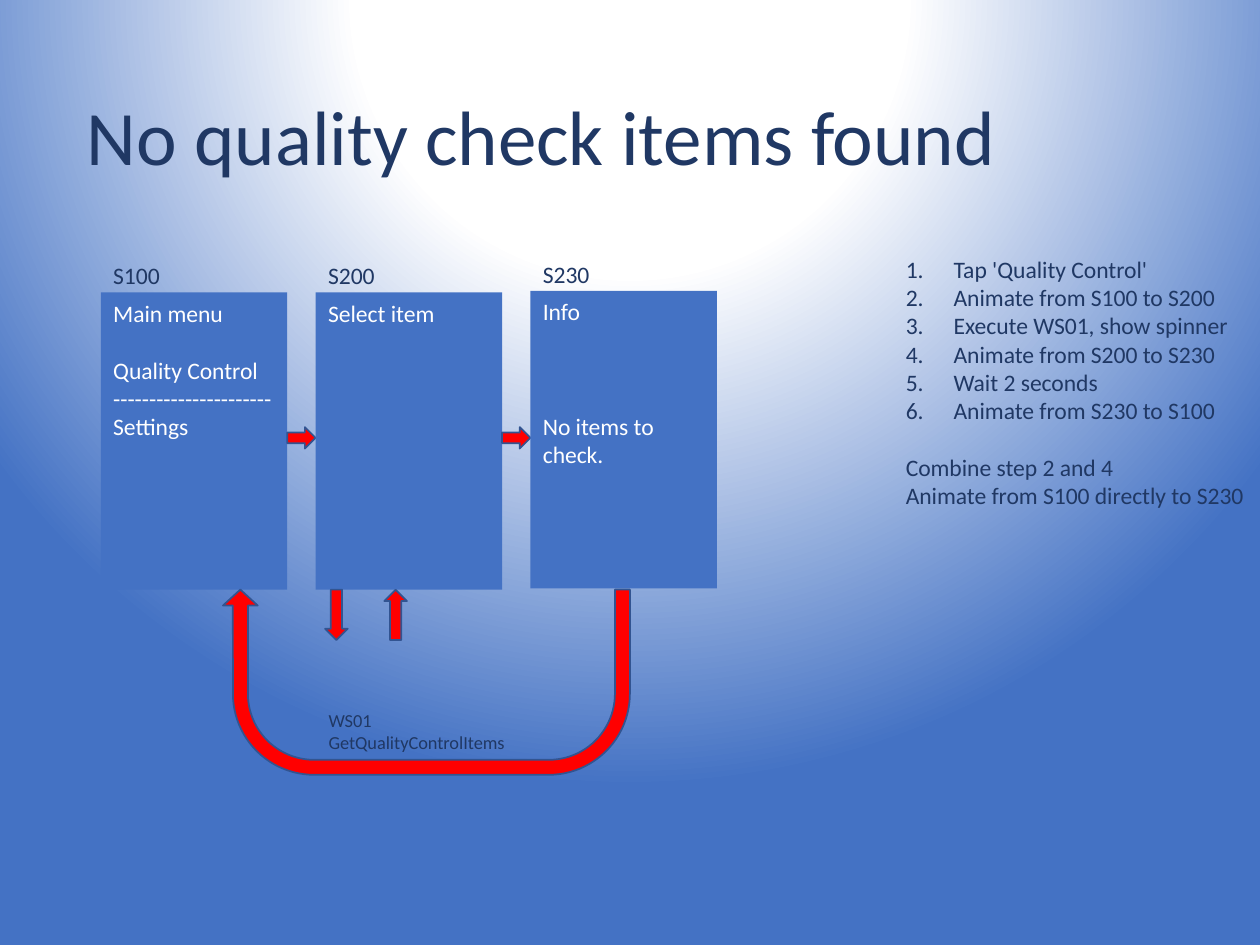
from lxml.etree import SubElement
from pptx import Presentation
from pptx.dml.color import RGBColor
from pptx.enum.shapes import MSO_SHAPE
from pptx.enum.text import MSO_ANCHOR, PP_ALIGN
from pptx.oxml import parse_xml
from pptx.oxml.ns import nsdecls, qn
from pptx.util import Inches, Pt

FONT = "Calibri"
NAVY, BLUE, RED, EDGE, WHITE = "203864", "4472C4", "FF0000", "325491", "FFFFFF"
COLS, ROWS = 100, 75
WIDE, HIGH = Inches(10), Inches(7.5)
BODY = 13.5
LINE = 16.4


def tint(code):
    """Turn a hex string into a colour."""
    return RGBColor.from_string(code)


def grid(box):
    """Turn left, top, width and height in grid cells into slide lengths."""
    left, top, wide, high = box
    return (int(left * WIDE / COLS), int(top * HIGH / ROWS),
            int(wide * WIDE / COLS), int(high * HIGH / ROWS))


def write(frame, lines, size=BODY, color=NAVY, gaps=(), listed=0, wrap=True,
          anchor=MSO_ANCHOR.TOP, pitch=None):
    """Fill a frame with lines; gaps maps a line to the empty lines before it."""
    frame.word_wrap = wrap
    frame.vertical_anchor = anchor
    for i, line in enumerate(lines):
        para = frame.paragraphs[0] if i == 0 else frame.add_paragraph()
        para.alignment = PP_ALIGN.LEFT
        if pitch:
            para.line_spacing = pitch
        if i in gaps:
            para.space_before = Pt(gaps[i] * LINE)
        if i < listed:
            props = para._p.get_or_add_pPr()
            props.set("marL", str(Inches(0.38)))
            props.set("indent", str(-Inches(0.38)))
            SubElement(props, qn("a:buAutoNum"), type="arabicPeriod")
        run = para.add_run()
        run.text = line
        run.font.name, run.font.size = FONT, Pt(size)
        run.font.color.rgb = tint(color)


def label(slide, box, lines, **form):
    """Place a text box."""
    write(slide.shapes.add_textbox(*grid(box)).text_frame, lines, **form)


def block(slide, kind, box, fill, edge=None):
    """Place a filled preset shape and return it."""
    shape = slide.shapes.add_shape(kind, *grid(box))
    shape.shadow.inherit = False
    shape.fill.solid()
    shape.fill.fore_color.rgb = tint(fill)
    if edge:
        shape.line.color.rgb = tint(edge)
        shape.line.width = Pt(1)
    else:
        shape.line.fill.background()
    return shape


def arrow(slide, box, turn=0):
    """Place a red arrow, turned by some degrees."""
    shape = block(slide, MSO_SHAPE.RIGHT_ARROW, box, RED, EDGE)
    shape.rotation = turn


def screen(slide, box, name, lines, gaps=()):
    """Place an app screen with its name above it."""
    left, top, wide, high = box
    shape = block(slide, MSO_SHAPE.RECTANGLE, box, BLUE)
    write(shape.text_frame, lines, color=WHITE, gaps=gaps,)
    label(slide, (left, top - 3, wide + 1.1, 3.3), [name])


def back(slide, box):
    """Place the U-turn arrow that leads back to the first screen."""
    shape = block(slide, MSO_SHAPE.U_TURN_ARROW, box, RED, EDGE)
    for i, part in enumerate((0.081, 0.094, 0.086, 0.438, 1)):
        shape.adjustments[i] = part
    form = shape._element.spPr.find(qn("a:xfrm"))
    form.set("flipH", "1")
    form.set("flipV", "1")


def glow(slide):
    """Give the slide a round gradient from white to blue."""
    stops = "".join(
        f'<a:gs pos="{spot * 1000}"><a:srgbClr val="{code}"/></a:gs>'
        for spot, code in ((0, WHITE), (35, WHITE), (100, BLUE)))
    slide._element.cSld.insert(0, parse_xml(
        f'<p:bg {nsdecls("p", "a")}><p:bgPr><a:gradFill rotWithShape="1">'
        f'<a:gsLst>{stops}</a:gsLst><a:path path="circle">'
        '<a:fillToRect l="50000" t="-80000" r="50000" b="180000"/></a:path>'
        '</a:gradFill><a:effectLst/></p:bgPr></p:bg>'))


def flow(slide, box):
    """Place the three screens and the arrows between them."""
    left, top, wide, high = box
    step, side = 17.05, 14.8
    screens = (
        ("S100", ["Main menu", "Quality Control", "-" * 22, "Settings"], {1: 1}),
        ("S200", ["Select item"], {}),
        ("S230", ["Info", "No items to check."], {1: 3}))
    for i, (name, lines, gaps) in enumerate(screens):
        spot = left + i * step
        rise = 0.1 if i == 2 else 0
        screen(slide, (spot, top - rise, side, high), name, lines, gaps)
        if i < 2:
            arrow(slide, (spot + side, top + 10.7, step - side, 1.7))
    base = top + high
    label(slide, (left + 17.1, base + 9, 16.3, 4.5),
          ["WS01", "GetQualityControlItems"], size=10.5, wrap=False)
    for i, turn in enumerate((90, 270)):
        arrow(slide, (left + 16.7 + i * 4.7, base + 1.1, 4, 1.8), turn)
    back(slide, (left + 9.7, base, 32.3, 14.7))


def steps(slide, box):
    """Place the numbered steps and the closing remark."""
    label(slide, box, [
        "Tap 'Quality Control'", "Animate from S100 to S200",
        "Execute WS01, show spinner", "Animate from S200 to S230",
        "Wait 2 seconds", "Animate from S230 to S100",
        "Combine step 2 and 4", "Animate from S100 directly to S230",
    ], listed=6, gaps={6: 1})


def main():
    """Build and save the slide."""
    deck = Presentation()
    deck.slide_width, deck.slide_height = WIDE, HIGH
    slide = deck.slides.add_slide(deck.slide_layouts[6])
    glow(slide)
    label(slide, (5.9, 3.9, 88.4, 14.5), ["No quality check items found"],
          size=44, anchor=MSO_ANCHOR.MIDDLE, pitch=0.9)
    flow(slide, (8, 23.2, 48.9, 23.6))
    steps(slide, (70.9, 19.7, 29.1, 21.5))
    deck.save("out.pptx")


if __name__ == "__main__":
    main()
